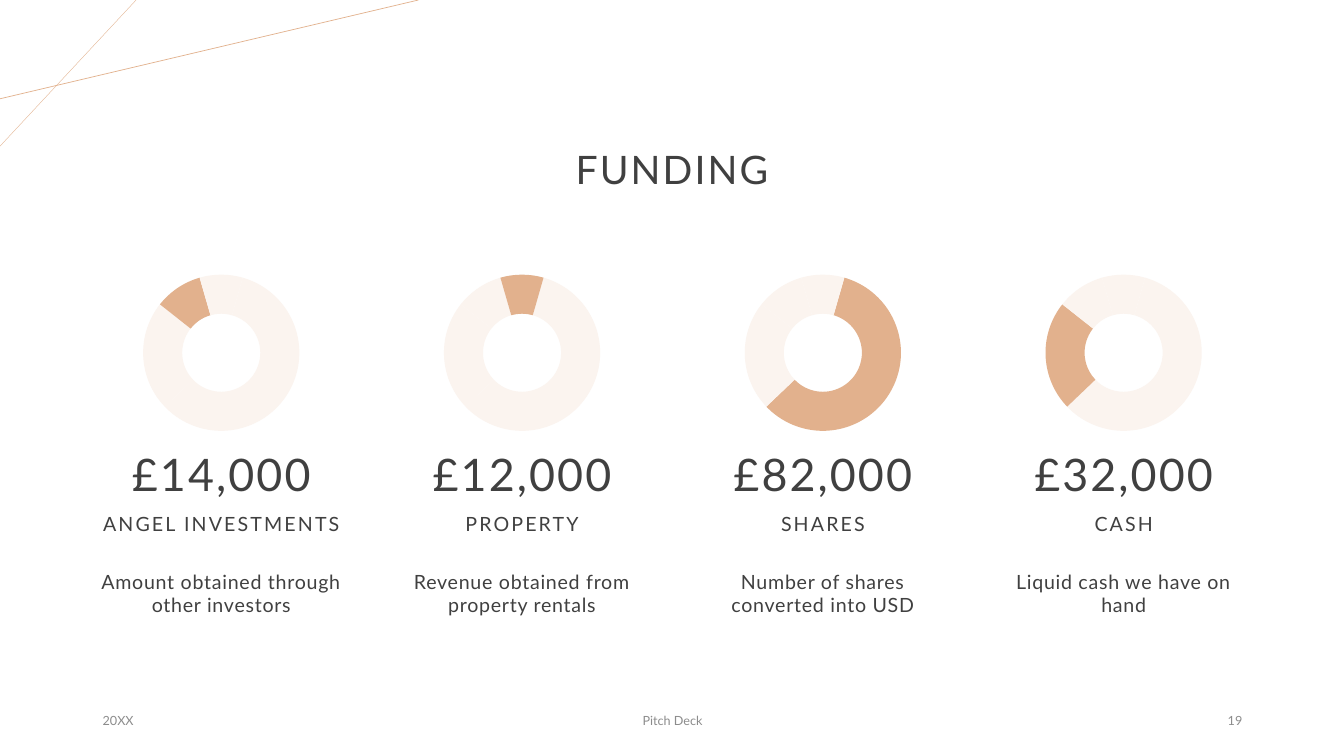
from dataclasses import dataclass

from lxml import etree
from pptx import Presentation
from pptx.chart.data import CategoryChartData
from pptx.dml.color import RGBColor
from pptx.enum.chart import XL_CHART_TYPE
from pptx.enum.shapes import MSO_CONNECTOR
from pptx.enum.text import MSO_ANCHOR, MSO_AUTO_SIZE, PP_ALIGN
from pptx.oxml.ns import qn
from pptx.util import Inches, Pt

LEFT, CENTER, RIGHT = PP_ALIGN.LEFT, PP_ALIGN.CENTER, PP_ALIGN.RIGHT
TOP, MIDDLE, BOTTOM = MSO_ANCHOR.TOP, MSO_ANCHOR.MIDDLE, MSO_ANCHOR.BOTTOM
DOUGHNUT = XL_CHART_TYPE.DOUGHNUT
STRAIGHT = MSO_CONNECTOR.STRAIGHT
TITLE_ONLY = 5


@dataclass(frozen=True)
class Theme:
    font: str = "Lato"
    ink: str = "404040"
    muted: str = "8C8C8C"
    accent: str = "E2B18D"
    pale: str = "FBF4EF"
    title: float = 28
    amount: float = 32
    body: float = 14
    chart: float = 10
    footer: float = 9


THEME = Theme()
SHARES = (59, 23, 10, 9)
RING_DIAMETER = 1.55
# amount, label, description, index of the highlighted slice
FUNDS = (
    ("£14,000", "ANGEL INVESTMENTS", "Amount obtained through other investors", 2),
    ("£12,000", "PROPERTY", "Revenue obtained from property rentals", 3),
    ("£82,000", "SHARES", "Number of shares converted into USD", 0),
    ("£32,000", "CASH", "Liquid cash we have on hand", 1),
)


def color(value):
    return RGBColor.from_string(value)


def place(shape, box):
    shape.left, shape.top, shape.width, shape.height = map(Inches, box)


def write(shape, text, *, size, ink=THEME.ink, align=CENTER, anchor=MIDDLE,
          tracking=0, line_spacing=None, space_before=0, side_inset=0.1):
    """Fill a shape with one formatted paragraph; tracking is in points."""
    frame = shape.text_frame
    frame.auto_size = MSO_AUTO_SIZE.NONE
    frame.word_wrap = True
    frame.vertical_anchor = anchor
    frame.margin_left = frame.margin_right = Inches(side_inset)
    frame.margin_top = frame.margin_bottom = Inches(0.05)
    para = frame.paragraphs[0]
    para.alignment = align
    para.space_before = Pt(space_before)
    if line_spacing:
        para.line_spacing = line_spacing
    span = para.add_run()
    span.text = text
    span.font.name = THEME.font
    span.font.size = Pt(size)
    span.font.color.rgb = color(ink)
    if tracking:
        span._r.get_or_add_rPr().set("spc", str(round(tracking * 100)))


def add_text(page, box, text, **style):
    write(page.shapes.add_textbox(*map(Inches, box)), text, **style)


def add_accent_line(page, start, end, weight):
    line = page.shapes.add_connector(STRAIGHT, *map(Inches, (*start, *end)))
    line.line.color.rgb = color(THEME.accent)
    line.line.width = Pt(weight)
    etree.SubElement(line._element.spPr, qn("a:effectLst"))


def set_ring_layout(chart, width, height):
    """Centre the ring at a fixed diameter in a chart of the given size."""
    plot_area = chart._chartSpace.chart.plotArea
    for layout in plot_area.findall(qn("c:layout")):
        plot_area.remove(layout)
    layout = etree.Element(qn("c:layout"))
    plot_area.insert(0, layout)
    manual = etree.SubElement(layout, qn("c:manualLayout"))
    across, down = RING_DIAMETER / width, RING_DIAMETER / height
    settings = (("layoutTarget", "inner"), ("xMode", "edge"), ("yMode", "edge"),
                ("x", (1 - across) / 2), ("y", (1 - down) / 2),
                ("w", across), ("h", down))
    for name, value in settings:
        etree.SubElement(manual, qn(f"c:{name}")).set("val", str(value))


def add_ring(page, box, highlight):
    data = CategoryChartData()
    data.categories = [str(number) for number in range(1, len(SHARES) + 1)]
    data.add_series("Series 1", SHARES)
    chart = page.shapes.add_chart(DOUGHNUT, *map(Inches, box), data).chart
    chart.has_legend = chart.has_title = False
    chart.font.name = THEME.font
    chart.font.size = Pt(THEME.chart)
    plot = chart.plots[0]
    plot.vary_by_categories = True
    plot.has_data_labels = False
    for index in range(len(SHARES)):
        slice_format = plot.series[0].points[index].format
        slice_format.fill.solid()
        slice_format.fill.fore_color.rgb = color(
            THEME.accent if index == highlight else THEME.pale)
        slice_format.line.fill.background()
    for name, value in (("firstSliceAng", 16), ("holeSize", 80)):
        chart._chartSpace.xpath(f".//c:{name}")[0].set("val", str(value))
    set_ring_layout(chart, *box[2:])


def add_fund(page, box, amount, label, description, highlight):
    left, top, width, _ = box
    ring_width = 2.03
    add_ring(page, (left + (width - ring_width) / 2, top, ring_width, 1.82), highlight)
    heading = dict(anchor=BOTTOM, tracking=1.5, line_spacing=0.9,
                   space_before=10, side_inset=0)
    add_text(page, (left, top + 1.55, width, 0.88), amount,
             size=THEME.amount, **heading)
    add_text(page, (left, top + 2.29, width, 0.48), label,
             size=THEME.body, **heading)
    add_text(page, (left, top + 3.01, width, 0.93), description, size=THEME.body,
             anchor=TOP, tracking=0.5, space_before=10, side_inset=0)


def add_funds(page, box):
    left, top, width, height = box
    column = 2.55
    pitch = (width - column) / (len(FUNDS) - 1)
    for index, fund in enumerate(FUNDS):
        add_fund(page, (left + index * pitch, top, column, height), *fund)


def add_title(page, box):
    place(page.shapes.title, box)
    write(page.shapes.title, "FUNDING", size=THEME.title,
          tracking=1.5, line_spacing=0.9)


def add_footer(page, box):
    left, top, width, height = box
    parts = (("20XX", 0, 3, LEFT), ("Pitch Deck", (width - 4.5) / 2, 4.5, CENTER),
             ("19", width - 3, 3, RIGHT))
    for text, offset, part_width, align in parts:
        add_text(page, (left + offset, top, part_width, height), text,
                 size=THEME.footer, ink=THEME.muted, align=align)


def build_funding_page(deck):
    page = deck.slides.add_slide(deck.slide_layouts[TITLE_ONLY])
    page.background.fill.solid()
    page.background.fill.fore_color.rgb = color("FFFFFF")
    add_accent_line(page, (1.35, 0), (0, 1.45), 0.25)
    add_accent_line(page, (4.15, 0), (0, 0.98), 0.5)
    add_title(page, (2.06, 0.98, 9.21, 1.45))
    add_funds(page, (0.92, 2.59, 11.5, 3.94))
    add_footer(page, (0.92, 6.95, 11.5, 0.4))


def main():
    deck = Presentation()
    deck.slide_width, deck.slide_height = Inches(13.33), Inches(7.5)
    build_funding_page(deck)
    deck.save("out.pptx")


if __name__ == "__main__":
    main()
